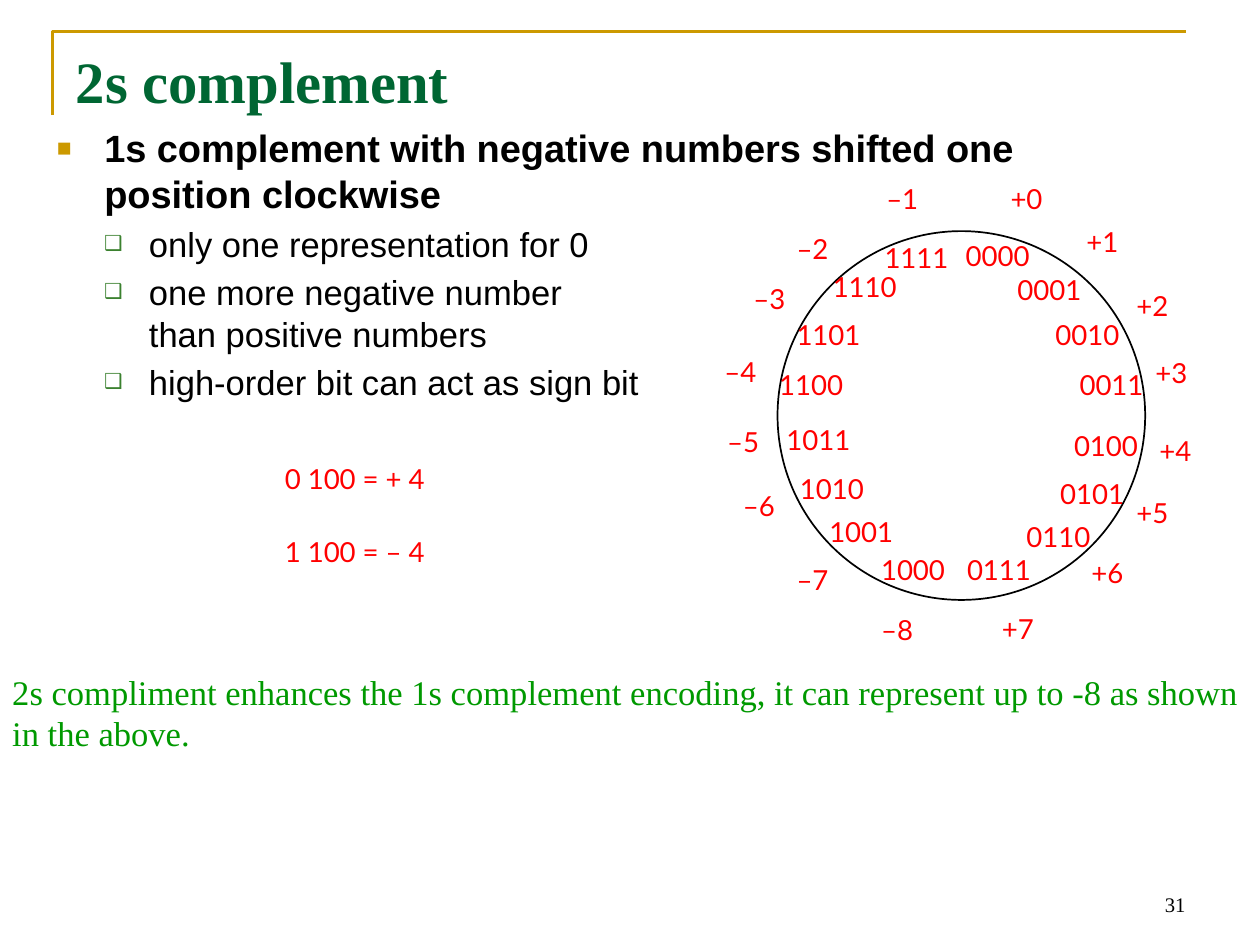
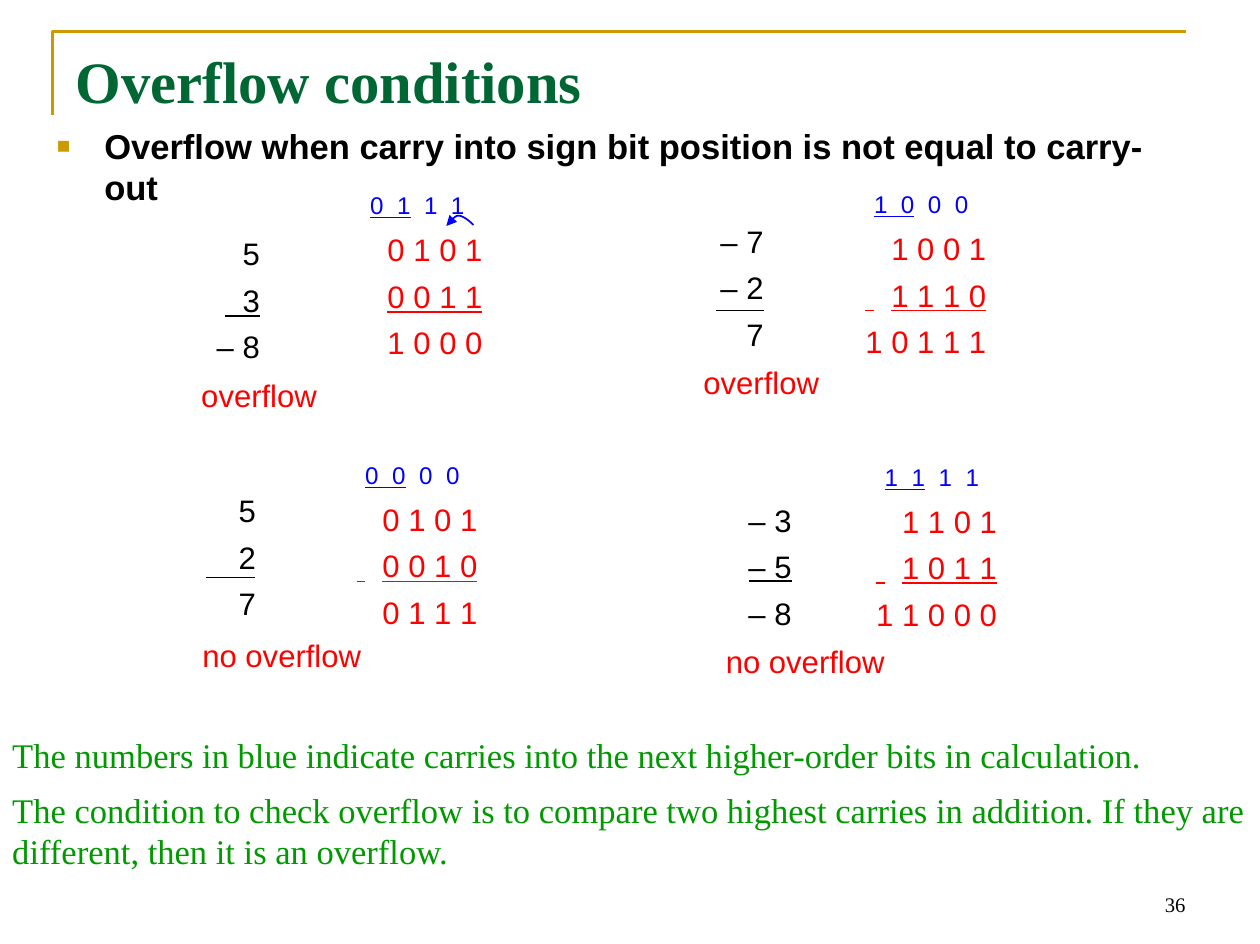
from lxml import etree
from pptx import Presentation
from pptx import util as u
from pptx.dml.color import RGBColor
from pptx.enum import shapes, text
from pptx.oxml import ns


class Theme:
    GOLD = RGBColor(0xCC, 0x99, 0x00)
    TITLE_GREEN = RGBColor(0x00, 0x66, 0x33)
    NOTE_GREEN = RGBColor(0x00, 0x99, 0x00)
    BLACK = RGBColor(0, 0, 0)
    WHITE = RGBColor(255, 255, 255)
    RED = RGBColor(255, 0, 0)
    BLUE = RGBColor(0, 0, 255)
    SERIF, SANS, DIGITS = "Times New Roman", "Arial", "Lato"
    TITLE, NOTE, SUM, WHEEL, CARRY, NUMBER = 34, 20, 18, 16, 14, 12
    # Per list level: left indent, hanging indent, bullet, bullet colour, bullet %
    LEVELS = [(27.4, 27.4, "■", "CC9900", 65), (53.3, 26, "❑", "3B812F", 60)]


def add_child(parent, tag, **attributes):
    return etree.SubElement(parent, ns.qn(tag), attributes)


def add_text(page, at, lines, size, color, font=Theme.SANS, leading=None, gap=0,
             align=text.PP_ALIGN.LEFT, anchor=text.MSO_ANCHOR.TOP, fill=None, inset=(0, 0)):
    """Each line is a list of (words, underlined, letter spacing) runs."""
    place = [u.Pt(length) for length in at]
    if fill is None:
        box = page.shapes.add_textbox(*place)
    else:
        box = page.shapes.add_shape(shapes.MSO_SHAPE.RECTANGLE, *place)
        box.shadow.inherit = False
        box.fill.solid()
        box.fill.fore_color.rgb = fill
        box.line.fill.background()
    frame = box.text_frame
    frame.word_wrap = True
    frame.vertical_anchor = anchor
    frame.margin_left = frame.margin_right = u.Pt(inset[0])
    frame.margin_top = frame.margin_bottom = u.Pt(inset[1])
    for index, line in enumerate(lines):
        para = frame.add_paragraph() if index else frame.paragraphs[0]
        para.alignment = align
        if leading:
            para.line_spacing = u.Pt(leading)
        if index and gap:
            para.space_before = u.Pt(gap)
        for words, underlined, spacing in line:
            span = para.add_run()
            span.text = words
            span.font.size = u.Pt(size)
            span.font.name = font
            span.font.color.rgb = color
            if underlined:
                span.font.underline = True
            if spacing:
                span._r.get_or_add_rPr().set("spc", str(round(spacing * 100)))


deck = Presentation()
deck.slide_width, deck.slide_height = u.Pt(730), u.Pt(547.2)
layout = deck.slide_layouts[1]

# Shared layout: title and list places
for holder, at in zip(layout.placeholders, [(36.7, 22.3, 656.6, 90.7), (25.8, 68.8, 656.6, 361.4)]):
    holder.left, holder.top, holder.width, holder.height = [u.Pt(length) for length in at]

contents = [
    dict(title="2s complement", number="31",
         items=[(0, 22, ["1s complement with negative numbers shifted one position clockwise"]),
                (1, 20, ["only one representation for 0"]),
                (1, 20, ["one more negative number", "than positive numbers"]),
                (1, 20, ["high-order bit can act as sign bit"])],
         notes=[(385.2, 55.4, "2s compliment enhances the 1s complement encoding, "
                              "it can represent up to -8 as shown in the above.")]),
    dict(title="Overflow conditions", number="36",
         items=[(0, 20, ["Overflow when carry into sign bit position is not equal to carry-out"])],
         notes=[(422, 31, "The numbers in blue indicate carries into the next "
                          "higher-order bits in calculation."),
                (453.6, 55.4, "The condition to check overflow is to compare two highest carries "
                              "in addition. If they are different, then it is an overflow.")]),
]

# Title, list and page number of both slides
pages = []
for content in contents:
    page = deck.slides.add_slide(layout)
    pages.append(page)
    title, body = page.placeholders
    for holder in (title, body):
        holder.text_frame.auto_size = text.MSO_AUTO_SIZE.NONE
        holder.text_frame.vertical_anchor = text.MSO_ANCHOR.TOP

    para = title.text_frame.paragraphs[0]
    para.alignment = text.PP_ALIGN.LEFT
    span = para.add_run()
    span.text = content["title"]
    span.font.name, span.font.size, span.font.bold = Theme.SERIF, u.Pt(Theme.TITLE), True
    span.font.color.rgb = Theme.TITLE_GREEN

    for index, (level, size, parts) in enumerate(content["items"]):
        para = body.text_frame.add_paragraph() if index else body.text_frame.paragraphs[0]
        para.level = level
        indent, hanging, bullet, bullet_color, percent = Theme.LEVELS[level]
        props = para._p.get_or_add_pPr()
        props.set("marL", str(u.Pt(indent)))
        props.set("indent", str(-u.Pt(hanging)))
        add_child(add_child(props, "a:buClr"), "a:srgbClr", val=bullet_color)
        add_child(props, "a:buSzPct", val=str(percent * 1000))
        add_child(props, "a:buChar", char=bullet)
        para.space_before = u.Pt(4 if index else 0)
        for order, part in enumerate(parts):
            if order:
                para.add_line_break()
            span = para.add_run()
            span.text = part
            span.font.name, span.font.size, span.font.bold = Theme.SANS, u.Pt(size), level == 0
            span.font.color.rgb = Theme.BLACK

    for top, height, note in content["notes"]:
        add_text(page, (0, top, 730, height), [[(note, False, 0)]], Theme.NOTE,
                 Theme.NOTE_GREEN, Theme.SERIF, fill=Theme.WHITE, inset=(7.2, 3.6))
    add_text(page, (523.4, 498, 170.6, 36.7), [[(content["number"], False, 0)]],
             Theme.NUMBER, Theme.BLACK, Theme.SERIF, align=text.PP_ALIGN.RIGHT,
             anchor=text.MSO_ANCHOR.BOTTOM, inset=(7.2, 3.6))

wheel_page, overflow_page = pages

# Corner rule, drawn once and moved to the layout
builder = wheel_page.shapes.build_freeform(u.Pt(30.4), u.Pt(66.7))
builder.add_line_segments([(u.Pt(30.4), u.Pt(18.3)), (u.Pt(687.3), u.Pt(18.3))], close=False)
corner = builder.convert_to_shape()
corner.shadow.inherit = False
corner.fill.background()
corner.line.color.rgb, corner.line.width = Theme.GOLD, u.Pt(1.5)
layout.shapes.element.append(corner.element)

# Slide 1: number wheel, clockwise from zero
circle = wheel_page.shapes.add_shape(shapes.MSO_SHAPE.OVAL, u.Pt(450.5), u.Pt(134),
                                     u.Pt(213), u.Pt(213.8))
circle.shadow.inherit = False
circle.fill.solid()
circle.fill.fore_color.rgb = Theme.WHITE
circle.line.color.rgb, circle.line.width = Theme.BLACK, u.Pt(1)

value_places = [(585.5, 108.6), (629.5, 133.7), (658.4, 170.6), (669.5, 209.3),
                (671.7, 255), (658.4, 290.7), (632.3, 325.5), (580.5, 358),
                (510.5, 358.5), (461.5, 329.7), (430.5, 286.5), (421.3, 249.7),
                (419.7, 209), (436.5, 166.5), (461.5, 137.5), (513.5, 108.6)]
code_places = [(559.5, 144), (589.5, 163.5), (611.5, 189.5), (625.5, 218.7),
               (622.3, 253.7), (614.3, 281.5), (594.7, 306.5), (560.3, 325.7),
               (510.5, 325.7), (480.5, 304), (463.5, 278.7), (455.7, 250.5),
               (451.5, 218.7), (461.5, 189.5), (482.5, 162), (512.5, 144.8)]
for code, (value_at, code_at) in enumerate(zip(value_places, code_places)):
    value = f"+{code}" if code < 8 else f"–{16 - code}"
    add_text(wheel_page, (*value_at, 30, 24), [[(value, False, 0)]],
             Theme.WHEEL, Theme.RED, Theme.DIGITS, leading=16)
    add_text(wheel_page, (*code_at, 50, 20), [[(f"{code:04b}", False, 0)]],
             Theme.WHEEL, Theme.RED, Theme.DIGITS, leading=13.9)
add_text(wheel_page, (165, 266.2, 120, 70),
         [[("0 100 = + 4", False, 0)], [("1 100 = – 4", False, 0)]],
         Theme.WHEEL, Theme.RED, Theme.DIGITS, leading=21, gap=21)

# Slide 2: four additions; decimal_at is the top right corner of the decimal column
ROW, LEAD_SPACING, CARRY_SPACING = 27, 10, 1.95
additions = [
    dict(decimals=["5", "3", "– 8"], decimal_at=(150.5, 130.5), rule=(130.3, 150.6, 183.4),
         carries=("0 1", " 1 1"), binary_at=(209.5, 101.2),
         rows=["0 1 0 1", "0 0 1 1", "1 0 0 0"], wide_rule=False,
         verdict="overflow", verdict_at=(116.6, 218.9)),
    dict(decimals=["– 7", "– 2", "7"], decimal_at=(442.4, 123.3), rule=(414.7, 442.8, 180),
         carries=("1 0", " 0 0"), binary_at=(501.4, 100.6),
         rows=["1 0 0 1", "1 1 1 0", "1 0 1 1 1"], wide_rule=True,
         verdict="overflow", verdict_at=(407.5, 211.4)),
    dict(decimals=["5", "2", "7"], decimal_at=(148.2, 279.5), rule=(119.5, 147.6, 334.8),
         carries=("0 0", " 0 0"), binary_at=(206.6, 257.6),
         rows=["0 1 0 1", "0 0 1 0", "0 1 1 1"], wide_rule=True,
         verdict="no overflow", verdict_at=(117.2, 369.4)),
    dict(decimals=["– 3", "– 5", "– 8"], decimal_at=(458.6, 285.1), rule=(433.9, 458.8, 337),
         carries=("1 1", " 1 1"), binary_at=(507.6, 258.6),
         rows=["1 1 0 1", "1 0 1 1", "1 1 0 0 0"], wide_rule=True,
         verdict="no overflow", verdict_at=(420.5, 373)),
]

for addition in additions:
    # Decimal column and its rule
    right, top = addition["decimal_at"]
    add_text(overflow_page, (right - 60, top, 60, 3 * ROW),
             [[(number, False, 0)] for number in addition["decimals"]],
             Theme.SUM, Theme.BLACK, leading=ROW, align=text.PP_ALIGN.RIGHT)
    start, end, level = addition["rule"]
    rule = overflow_page.shapes.add_connector(shapes.MSO_CONNECTOR.STRAIGHT, u.Pt(start),
                                              u.Pt(level), u.Pt(end), u.Pt(level))
    rule.line.color.rgb, rule.line.width = Theme.BLACK, u.Pt(1)
    add_child(rule.element.spPr, "a:effectLst")

    # Carries, with the two highest underlined
    left, top = addition["binary_at"]
    highest, others = addition["carries"]
    add_text(overflow_page, (left + 5, top - 0.8, 80, ROW),
             [[(highest, True, CARRY_SPACING), (others, False, CARRY_SPACING)]],
             Theme.CARRY, Theme.BLUE, leading=ROW)

    # Binary sum: a stretched space stands for the missing fifth bit
    lines = []
    for index, bits in enumerate(addition["rows"]):
        underlined = index == 1
        lead = [(" ", underlined and addition["wide_rule"], LEAD_SPACING)]
        lines.append((lead if len(bits) == 7 else []) + [(bits, underlined, 0)])
    add_text(overflow_page, (left, top + ROW, 85, 3 * ROW), lines,
             Theme.SUM, Theme.RED, leading=ROW)
    add_text(overflow_page, (*addition["verdict_at"], 115, 26),
             [[(addition["verdict"], False, 0)]], Theme.SUM, Theme.RED, leading=21)

# Carry arrow: two cubic curves sampled into short segments
curves = [[(274.3, 130.4), (271.5, 127.5), (267.9, 125), (265.6, 125)],
          [(265.6, 125), (262.8, 125), (260, 130.4), (258.6, 131)]]
points = []
for curve in curves:
    for step in range(9):
        t = step / 8
        weights = ((1 - t) ** 3, 3 * t * (1 - t) ** 2, 3 * t * t * (1 - t), t ** 3)
        points.append(tuple(u.Pt(sum(w * point[axis] for w, point in zip(weights, curve)))
                            for axis in (0, 1)))
builder = overflow_page.shapes.build_freeform(*points[0])
builder.add_line_segments(points[1:], close=False)
arrow = builder.convert_to_shape()
arrow.shadow.inherit = False
arrow.fill.background()
arrow.line.color.rgb, arrow.line.width = Theme.BLUE, u.Pt(1)
add_child(arrow.line._get_or_add_ln(), "a:tailEnd", type="triangle")

deck.save("out.pptx")
